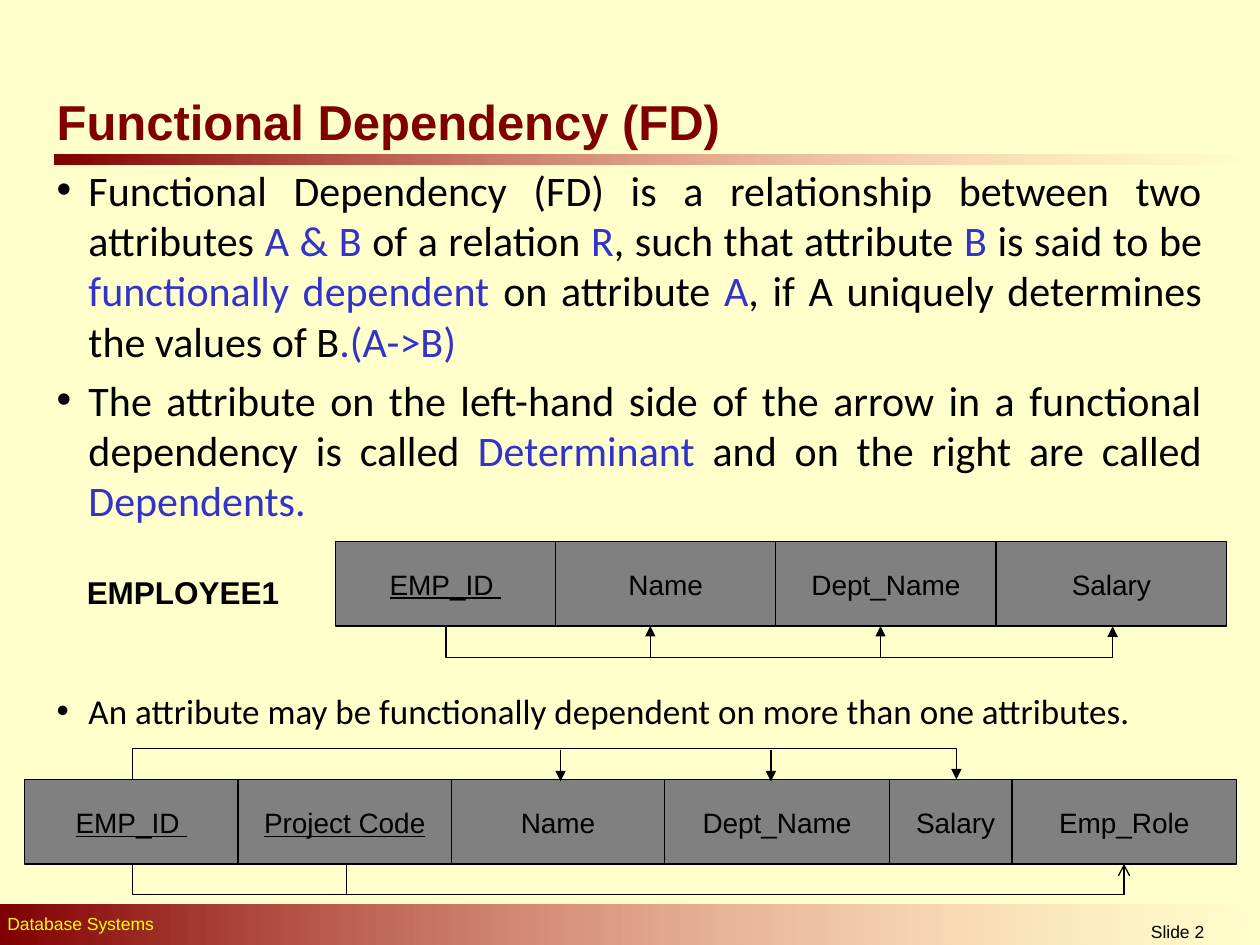
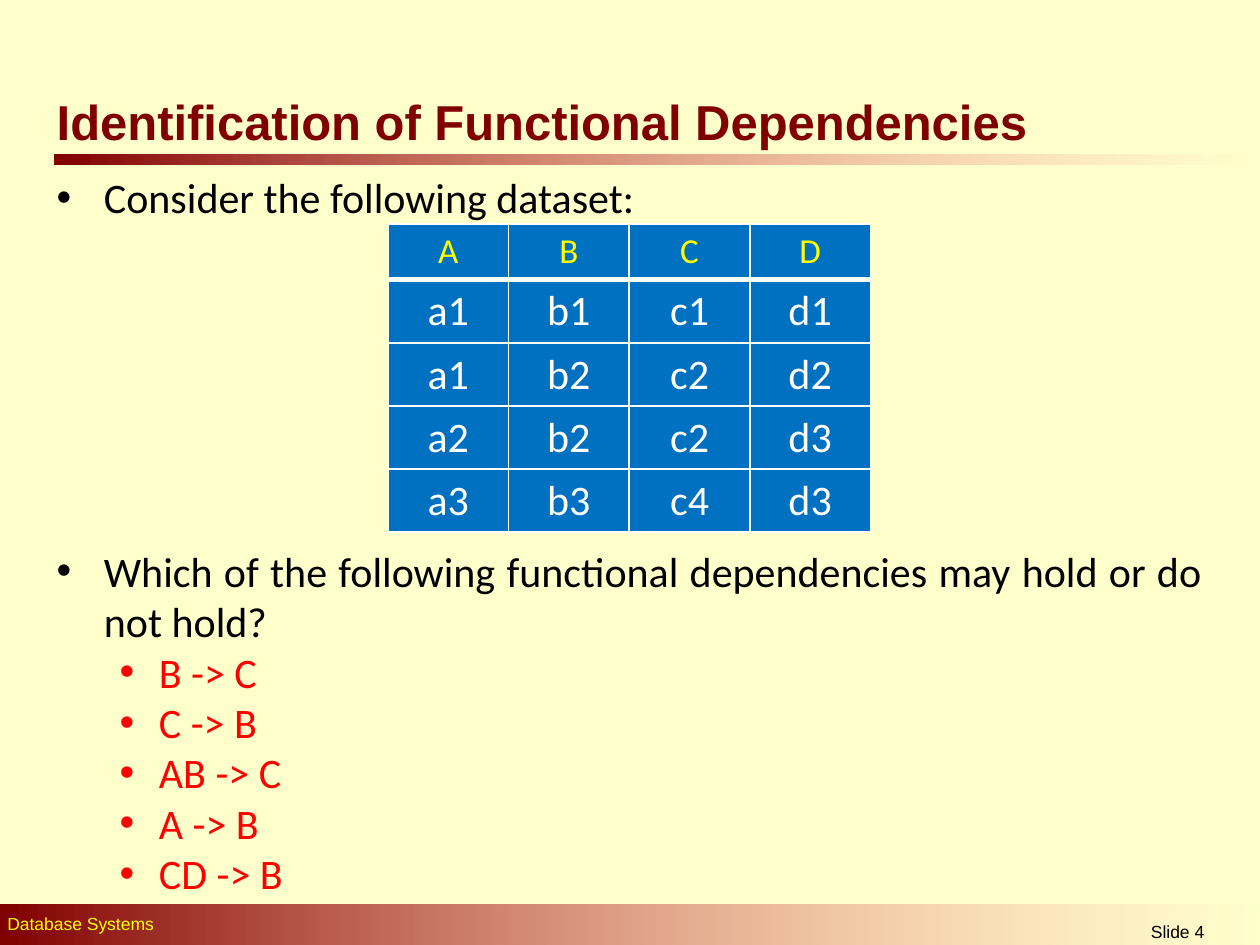
"""Build two lecture slides on functional dependencies."""
from dataclasses import dataclass
from itertools import product
from typing import Any, Optional

from lxml import etree
from pptx import Presentation
from pptx import util as u
from pptx.dml import color as dml
from pptx.enum import shapes, text
from pptx.oxml import ns


@dataclass(frozen=True)
class Theme:
    """Colours, fonts and type sizes of the deck."""
    back: str = "FFFFCC"
    maroon: str = "800000"
    rose: str = "FF8585"
    yellow: str = "FFFF00"
    black: str = "000000"
    white: str = "FFFFFF"
    blue: str = "3333CC"
    red: str = "FF0000"
    gray: str = "808080"
    table: str = "0070C0"
    head: str = "Arial"
    body: str = "Calibri"
    title: int = 28
    large: int = 24
    mid: int = 20
    label: int = 18
    cell: int = 16
    foot: int = 10


@dataclass(frozen=True)
class Box:
    """Place and size in centimetres."""
    x: float
    y: float
    w: float
    h: float

    def emu(self) -> tuple:
        """Return the four lengths for python-pptx."""
        return u.Cm(self.x), u.Cm(self.y), u.Cm(self.w), u.Cm(self.h)


@dataclass(frozen=True)
class Item:
    """A bullet whose every second run is accented."""
    runs: tuple
    size: int = 24
    gap: float = 0
    left: float = 0.64
    hang: float = 0.64
    level: int = 0
    ink: str = "000000"


@dataclass(frozen=True)
class Field:
    """One attribute of a relation."""
    name: str
    w: float
    key: bool = False
    lap: float = 0


@dataclass(frozen=True)
class Loop:
    """A bracket from one attribute to another."""
    x: float
    end: float
    y: float
    down: bool = True
    tip: Optional[str] = None


T = Theme()
DROP = 0.64
THIN = 0.02
BANDS = (Box(1.09, 3.12, 24.31, 0.2), Box(0, 18.24, 25.48, 0.89))


def rgb(code: str) -> dml.RGBColor:
    """Turn a hex code into a colour."""
    return dml.RGBColor.from_string(code)


def sub(node: Any, tag: str, **attrs: str) -> Any:
    """Append a DrawingML child."""
    return etree.SubElement(node, ns.qn(tag), attrs)


def write(para: Any, words: str, size: int, ink: str, face: str = T.head,
          bold: bool = False, under: bool = False) -> None:
    """Add one formatted run."""
    run = para.add_run()
    run.text = words
    font = run.font
    font.name, font.size, font.bold = face, u.Pt(size), bold
    font.underline = under
    font.color.rgb = rgb(ink)


def label(slide: Any, box: Box, words: str, size: int, ink: str,
          bold: bool = False, mid: bool = False) -> None:
    """Add a one-line text box."""
    frame = slide.shapes.add_textbox(*box.emu()).text_frame
    frame.word_wrap = True
    para = frame.paragraphs[0]
    if mid:
        para.alignment = text.PP_ALIGN.CENTER
    write(para, words, size, ink, bold=bold)


def band(slide: Any, box: Box) -> None:
    """Draw a bar that fades out to the right."""
    bar = slide.shapes.add_shape(shapes.MSO_SHAPE.RECTANGLE, *box.emu())
    bar.shadow.inherit = False
    bar.line.fill.background()
    bar.fill.gradient()
    bar.fill.gradient_angle = 0
    for stop, code in zip(bar.fill.gradient_stops, (T.maroon, T.rose)):
        stop.color.rgb = rgb(code)
    last = list(bar._element.spPr.iter(ns.qn("a:srgbClr")))[-1]
    sub(last, "a:alpha", val="0")


def start(deck: Any, title: str, width: float, number: int) -> Any:
    """Add a slide with its bands, footer and title."""
    slide = deck.slides.add_slide(deck.slide_layouts[1])
    for box in BANDS:
        band(slide, box)
    label(slide, Box(-0.1, 18.29, 16.4, 0.68), "Database Systems", T.foot, T.yellow)
    label(slide, Box(21.1, 18.44, 5.28, 0.61), f"Slide {number}", T.foot,
          T.black, mid=True)
    frame = place(slide.shapes.title, Box(0.89, 1.73, width, 1.4))
    frame.vertical_anchor = text.MSO_ANCHOR.MIDDLE
    para = frame.paragraphs[0]
    para.alignment = text.PP_ALIGN.LEFT
    write(para, title, T.title, T.maroon, bold=True)
    return slide


def place(holder: Any, box: Box) -> Any:
    """Move a placeholder and return its text frame."""
    holder.left, holder.top, holder.width, holder.height = box.emu()
    frame = holder.text_frame
    frame.auto_size = text.MSO_AUTO_SIZE.NONE
    frame.word_wrap = True
    return frame


def fill(slide: Any, box: Box, items: list[Item]) -> None:
    """Write the bullets into the body placeholder."""
    frame = place(slide.placeholders[1], box)
    for i, item in enumerate(items):
        para = frame.add_paragraph() if i else frame.paragraphs[0]
        para.level = item.level
        para.alignment = text.PP_ALIGN.JUSTIFY
        para.space_before = u.Pt(item.gap)
        props = para._p.get_or_add_pPr()
        props.set("marL", str(u.Cm(item.left)))
        props.set("indent", str(-u.Cm(item.hang)))
        sub(props, "a:buFont", typeface=T.head)
        sub(props, "a:buChar", char="•")
        for n, words in enumerate(item.runs):
            write(para, words, item.size, T.blue if n % 2 else item.ink, T.body)


def relate(slide: Any, x: float, y: float, fields: list[Field]) -> None:
    """Draw a relation as a group of adjoining boxes."""
    group = slide.shapes.add_group_shape()
    for field in fields:
        box = Box(x, y, field.w, 1.7)
        cell = group.shapes.add_shape(shapes.MSO_SHAPE.RECTANGLE, *box.emu())
        cell.shadow.inherit = False
        cell.fill.solid()
        cell.fill.fore_color.rgb = rgb(T.gray)
        cell.line.color.rgb = rgb(T.black)
        cell.line.width = u.Pt(0.75)
        frame = cell.text_frame
        frame.word_wrap = False
        frame.vertical_anchor = text.MSO_ANCHOR.MIDDLE
        para = frame.paragraphs[0]
        para.alignment = text.PP_ALIGN.CENTER
        write(para, field.name, T.cell, T.black, under=field.key)
        x += field.w - field.lap


def wire(slide: Any, kind: Any, ends: tuple, tip: Optional[str]) -> Any:
    """Add a thin black connector with an optional arrowhead."""
    line = slide.shapes.add_connector(kind, *(u.Cm(v) for v in ends))
    line.line.color.rgb = rgb(T.black)
    line.line.width = u.Pt(0.75)
    if tip:
        sub(line.line._get_or_add_ln(), "a:tailEnd", type=tip)
    sub(line._element.spPr, "a:effectLst")
    return line


def arrow(slide: Any, x: float, y: float, end: float) -> None:
    """Draw a vertical arrow."""
    wire(slide, shapes.MSO_CONNECTOR.STRAIGHT, (x, y, x, end), "triangle")


def bend(slide: Any, loop: Loop) -> None:
    """Draw a bracket as a turned elbow connector."""
    mid, half = (loop.x + loop.end) / 2, (loop.end - loop.x) / 2
    ends = (mid - THIN / 2, loop.y - half, mid + THIN / 2, loop.y + half)
    line = wire(slide, shapes.MSO_CONNECTOR.ELBOW, ends, loop.tip)
    props = line._element.spPr
    frame = props.find(ns.qn("a:xfrm"))
    frame.set("rot", "16200000")
    if loop.down:
        frame.set("flipH", "1")
    guides = props.find(ns.qn("a:prstGeom")).find(ns.qn("a:avLst"))
    sub(guides, "a:gd", name="adj1", fmla=f"val {round(DROP / THIN * 100000)}")


def grid(slide: Any, box: Box, rows: list[str]) -> None:
    """Draw the data table."""
    table = slide.shapes.add_table(len(rows), 4, *box.emu()).table
    for r, row in enumerate(table.rows):
        row.height = u.Cm(1.27 if r else 1.12)
    for r, c in product(range(len(rows)), range(4)):
        cell = table.cell(r, c)
        props = cell._tc.get_or_add_tcPr()
        for side in "LRTB":
            width = 1 if r or side != "B" else 3
            edge = sub(props, f"a:ln{side}", w=str(u.Pt(width)))
            sub(sub(edge, "a:solidFill"), "a:srgbClr", val=T.white)
        cell.fill.solid()
        cell.fill.fore_color.rgb = rgb(T.table)
        para = cell.text_frame.paragraphs[0]
        para.alignment = text.PP_ALIGN.CENTER
        size, ink = (T.large, T.white) if r else (T.mid, T.yellow)
        write(para, rows[r].split()[c], size, ink, T.body)


def define(deck: Any) -> None:
    """Build the definition slide."""
    slide = start(deck, "Functional Dependency (FD)", 14.3, 2)
    fill(slide, Box(0.89, 3.18, 23.6, 14.35), [
        Item(("Functional Dependency (FD) is a relationship between two attributes ",
              "A & B", " of a relation ", "R", ", such that attribute ", "B",
              " is said to be ", "functionally dependent", " on attribute ", "A",
              ", if A uniquely determines the values of B", ".(A->B)")),
        Item(("The attribute on the left-hand side of the arrow in a functional "
              "dependency is called ", "Determinant ",
              "and on the right are called", " Dependents. "), gap=4.8),
        Item(("An attribute may be functionally dependent on more than one "
              "attributes.",), size=T.mid, gap=93.6)])
    relate(slide, 6.76, 10.92, [
        Field("EMP_ID ", 4.44, True), Field("Name", 4.44),
        Field("Dept_Name", 4.44), Field("Salary", 4.65)])
    label(slide, Box(1.5, 11.43, 7.62, 1.02), "EMPLOYEE1", T.label, T.black, True)
    relate(slide, 0.5, 15.72, [
        Field("EMP_ID ", 4.3, True), Field("Project Code", 4.3, True),
        Field("Name", 4.3), Field("Dept_Name", 4.53),
        Field("Salary", 2.67, lap=0.2), Field("Emp_Role", 4.53)])
    for loop in (Loop(8.99, 22.43, 12.62, tip="triangle"),
                 Loop(2.67, 22.66, 17.41), Loop(6.98, 22.66, 17.41, tip="arrow"),
                 Loop(2.67, 19.28, 15.72, False, "triangle")):
        bend(slide, loop)
    for x, y, end in ((13.11, 13.26, 12.62), (17.75, 13.26, 12.62),
                      (11.3, 15.11, 15.75), (15.54, 15.11, 15.75)):
        arrow(slide, x, y, end)


def detect(deck: Any) -> None:
    """Build the exercise slide."""
    slide = start(deck, "Identification of Functional Dependencies", 21.97, 4)
    asks = ("B -> C", "C -> B", "AB -> C", "A -> B", "CD -> B")
    fill(slide, Box(0.89, 3.33, 23.6, 14.55), [
        Item(("Consider the following dataset:",), left=0.95, hang=0.95),
        Item(("Which of the following functional dependencies may hold or do "
              "not hold? ",), gap=184.8, left=0.95, hang=0.95),
        *(Item((ask,), left=2.06, hang=0.79, level=1, ink=T.red) for ask in asks)])
    grid(slide, Box(7.82, 4.52, 9.73, 6.2), [
        "A B C D", "a1 b1 c1 d1", "a1 b2 c2 d2", "a2 b2 c2 d3", "a3 b3 c4 d3"])


def main() -> None:
    """Build and save the deck."""
    deck = Presentation()
    deck.slide_width, deck.slide_height = u.Cm(25.4), u.Cm(19.05)
    back = deck.slide_master.background.fill
    back.solid()
    back.fore_color.rgb = rgb(T.back)
    define(deck)
    detect(deck)
    deck.save("out.pptx")


if __name__ == "__main__":
    main()
